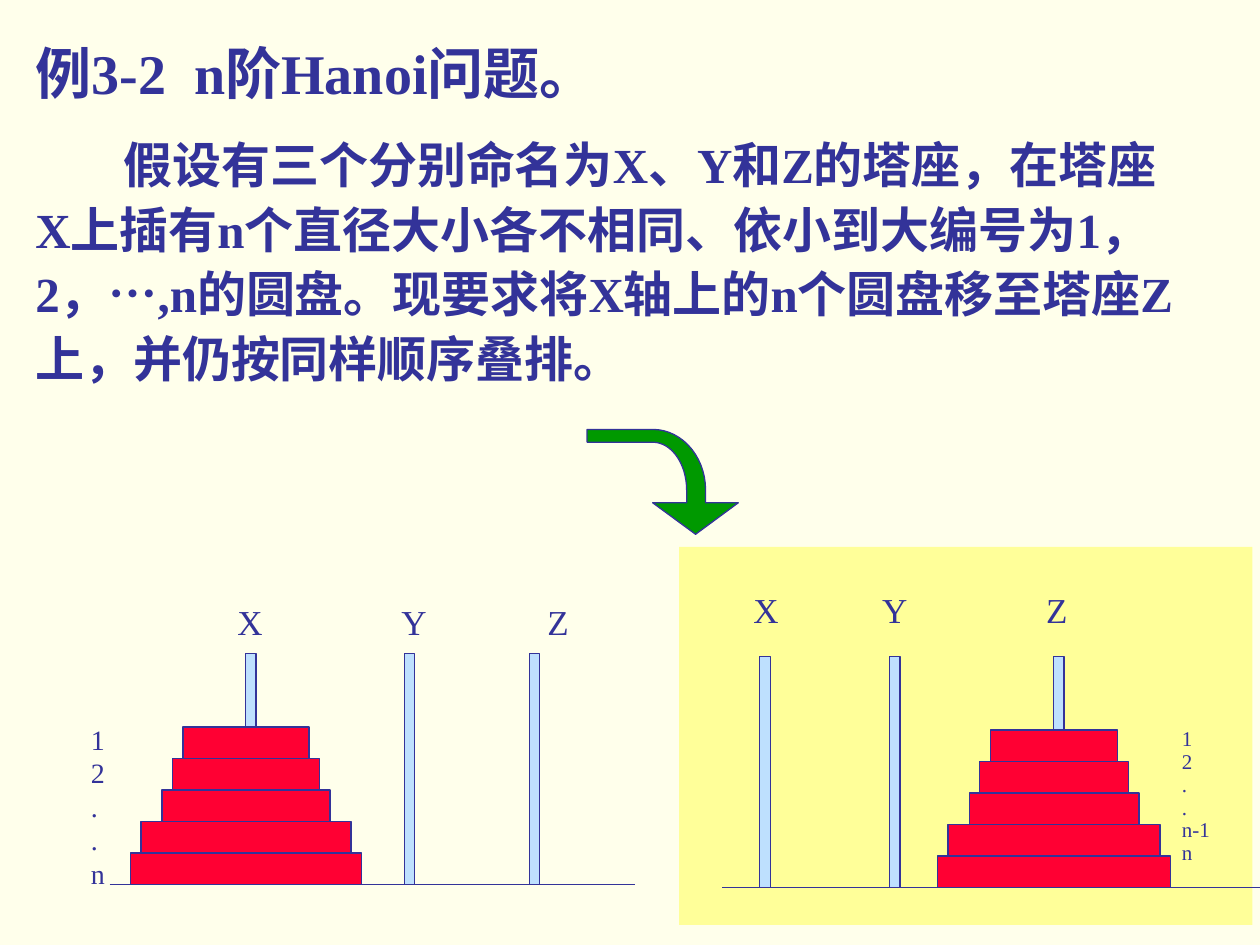
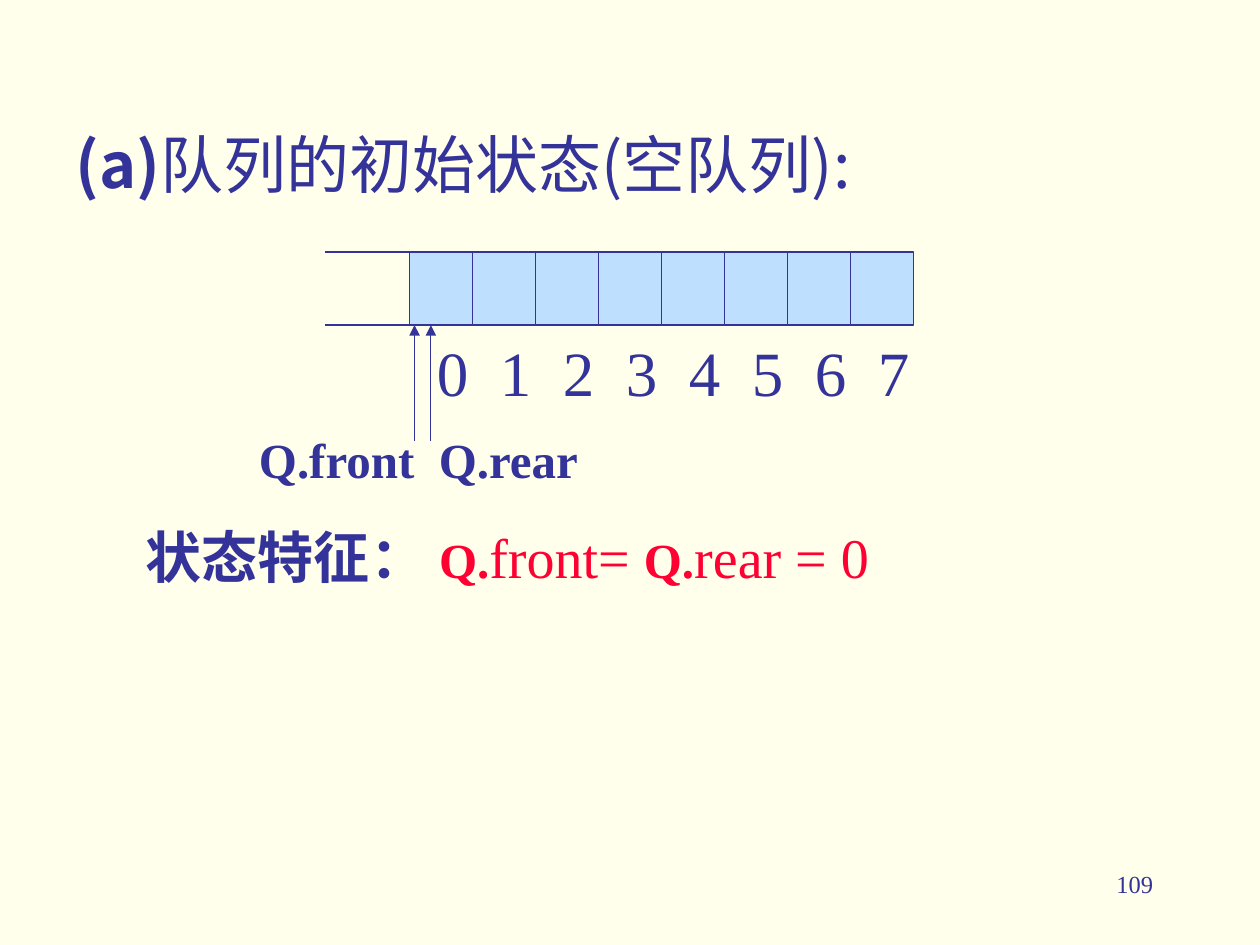
"""Build two lecture slides: the Hanoi problem and an empty queue."""
import dataclasses
import math

import lxml.etree
import pptx
import pptx.dml.color
import pptx.enum.shapes
import pptx.enum.text
import pptx.oxml.ns
import pptx.util

Pt = pptx.util.Pt
qn = pptx.oxml.ns.qn
Align = pptx.enum.text.PP_ALIGN
Shape = pptx.enum.shapes.MSO_SHAPE


@dataclasses.dataclass(frozen=True)
class Theme:
    paper: str = "FFFFEB"
    ink: str = "333399"
    red: str = "FF0033"
    green: str = "009900"
    sky: str = "BEE0FE"
    yellow: str = "FFFF99"
    serif: str = "Times New Roman"
    sans: str = "Noto Sans CJK SC"
    huge: int = 36
    title: int = 32
    body: int = 28
    peg: int = 20
    disk: int = 16
    number: int = 14
    small: int = 12
    line: float = 0.75


theme = Theme()


def style_span(span, size, bold=False, color=theme.ink, font=theme.serif):
    span.font.size = Pt(size)
    span.font.bold = bold
    span.font.name = font
    span.font.color.rgb = pptx.dml.color.RGBColor.from_string(color)
    east_asian = lxml.etree.SubElement(span._r.get_or_add_rPr(), qn("a:ea"))
    east_asian.set("typeface", theme.sans)


def paint_shape(shape, fill, outlined=True):
    shape.shadow.inherit = False
    shape.fill.solid()
    shape.fill.fore_color.rgb = pptx.dml.color.RGBColor.from_string(fill)
    if outlined:
        shape.line.color.rgb = pptx.dml.color.RGBColor.from_string(theme.ink)
        shape.line.width = Pt(theme.line)
    else:
        shape.line.fill.background()


deck = pptx.Presentation()
deck.slide_width = Pt(720)
deck.slide_height = Pt(540)
background = deck.slide_master.background.fill
background.solid()
background.fore_color.rgb = pptx.dml.color.RGBColor.from_string(theme.paper)
hanoi = deck.slides.add_slide(deck.slide_layouts[1])
queue = deck.slides.add_slide(deck.slide_layouts[1])

problem = (
    "假设有三个分别命名为X、Y和Z的塔座，在塔座X上插有n个直径大小各不相同、"
    "依小到大编号为1，2，…,n的圆盘。现要求将X轴上的n个圆盘移至塔座Z上，"
    "并仍按同样顺序叠排。"
)
# placeholder, (left, top, width, height), line pitch, first-line indent, spans
texts = [
    (hanoi.shapes.title, (13, 17, 666, 48), 40, 0,
     [("例3-2  n阶Hanoi问题。", theme.title, True)]),
    (hanoi.placeholders[1], (13, 70, 666, 156), 36.9, 50.4,
     [(problem, theme.body, True)]),
    (queue.shapes.title, (36, 63.4, 612, 56), 48, 0,
     [("(a)", theme.huge, True, theme.ink, theme.sans),
      ("队列的初始状态(空队列):", theme.huge, False, theme.ink, theme.sans)]),
    (queue.placeholders[1], (76.2, 289.6, 540, 52), 44, 0,
     [("状态特征： ", theme.title, True),
      ("Q.", theme.body, True, theme.red),
      ("front= ", theme.title, False, theme.red),
      ("Q.", theme.body, True, theme.red),
      ("rear = 0", theme.title, False, theme.red)]),
]
for holder, place, pitch, indent, spans in texts:
    holder.left, holder.top, holder.width, holder.height = map(Pt, place)
    frame = holder.text_frame
    frame.auto_size = pptx.enum.text.MSO_AUTO_SIZE.NONE
    frame.vertical_anchor = pptx.enum.text.MSO_ANCHOR.TOP
    frame.word_wrap = True
    para = frame.paragraphs[0]
    para.alignment = Align.LEFT
    para.line_spacing = Pt(pitch)
    para.space_before = Pt(0)
    properties = para._p.get_or_add_pPr()
    properties.set("marL", "0")
    properties.set("indent", str(Pt(indent)))
    lxml.etree.SubElement(properties, qn("a:buNone"))
    for text, *look in spans:
        span = para.add_run()
        span.text = text
        style_span(span, *look)

arc = [math.radians(step * 6) for step in range(16)]
bend_x, bend_y = 373, 280
outline = [(397.5, 305.3), (421.9, 287.3), (403.2, 287.3)]
outline += [(bend_x + 30.2 * math.cos(a), bend_y - 34.6 * math.sin(a)) for a in arc]
outline += [(335.5, 245.4), (335.5, 252.7)]
outline += [(bend_x + 19.4 * math.cos(a), bend_y - 27.3 * math.sin(a)) for a in reversed(arc)]
outline += [(392.4, 287.3), (373, 287.3)]
corners = [(Pt(x), Pt(y)) for x, y in outline]
builder = hanoi.shapes.build_freeform(*corners[0])
builder.add_line_segments(corners[1:], close=True)
paint_shape(builder.convert_to_shape(), theme.green)

panel = hanoi.shapes.add_shape(Shape.RECTANGLE, Pt(388), Pt(312.5), Pt(327.6), Pt(216))
paint_shape(panel, theme.yellow, outlined=False)

labels = []
lines = []
peg_width, peg_height, disk_height = 6, 132, 18
disk_widths = [72, 84, 96, 120, 132]
# peg centres, label centres, label top, stack centre, base, base line ends, disk scale
scenes = [
    ((143.4, 234, 305.4), (142.9, 236.6, 318.9), 343.3, 140.6, 505.4, (62.6, 362.9), 1),
    ((437.2, 511.3, 605), (437.7, 511.4, 604), 336.5, 602.3, 507.2, (412.8, 720), 1.01),
]
for pegs, names, name_top, stack, base, ends, scale in scenes:
    bars = [(x, base - peg_height, peg_width, peg_height, theme.sky) for x in pegs]
    for level, width in enumerate(disk_widths):
        top = base - (len(disk_widths) - level) * disk_height
        bars.append((stack, top, width * scale, disk_height, theme.red))
    for center, top, width, height, fill in bars:
        bar = hanoi.shapes.add_shape(
            Shape.RECTANGLE, Pt(center - width / 2), Pt(top), Pt(width), Pt(height))
        paint_shape(bar, fill)
    lines.append((hanoi, ends[0], base, ends[1], base, False))
    for name, center in zip("XYZ", names):
        labels.append((hanoi, [name], center - 18, name_top, 36, 24,
                       theme.peg, False, Align.CENTER, None))
labels += [
    (hanoi, ["1", "2", ".", ".", "n"], 52, 412.9, 20, 96,
     theme.disk, False, Align.LEFT, 19.1),
    (hanoi, ["1", "2", ".", ".", "n-1", "n"], 675.4, 415.8, 30, 80,
     theme.small, False, Align.LEFT, 13.1),
]

cell_left, cell_top, cell_width, cell_height = 234, 144, 36, 41.8
cell_bottom = cell_top + cell_height
for index in range(8):
    left = cell_left + index * cell_width
    cell = queue.shapes.add_shape(
        Shape.RECTANGLE, Pt(left), Pt(cell_top), Pt(cell_width), Pt(cell_height))
    paint_shape(cell, theme.sky)
    labels.append((queue, [str(index)], left + 6.6, 190.8, cell_width, 42,
                   theme.huge, False, Align.CENTER, None))
for edge in (cell_top, cell_bottom):
    lines.append((queue, cell_left, edge, 185.8, edge, False))
for pointer, left, arrow_x in (("Q.front", 148, 236.9), ("Q.rear", 250.8, 246.2)):
    labels.append((queue, [pointer], left, 245.4, 96, 33,
                   theme.body, True, Align.LEFT, None))
    lines.append((queue, arrow_x, 252, arrow_x, cell_bottom, True))
labels.append((queue, ["109"], 509, 496.6, 150, 18,
               theme.number, False, Align.RIGHT, None))

for page, rows, left, top, width, height, size, bold, align, pitch in labels:
    box = page.shapes.add_textbox(Pt(left), Pt(top), Pt(width), Pt(height))
    frame = box.text_frame
    frame.word_wrap = True
    frame.margin_left = frame.margin_right = frame.margin_top = frame.margin_bottom = Pt(0)
    frame.text = "\n".join(rows)
    for para in frame.paragraphs:
        para.alignment = align
        if pitch:
            para.line_spacing = Pt(pitch)
        style_span(para.runs[0], size, bold)

for page, x1, y1, x2, y2, arrow in lines:
    line = page.shapes.add_connector(
        pptx.enum.shapes.MSO_CONNECTOR.STRAIGHT, Pt(x1), Pt(y1), Pt(x2), Pt(y2))
    line.line.color.rgb = pptx.dml.color.RGBColor.from_string(theme.ink)
    line.line.width = Pt(theme.line)
    if arrow:
        head = lxml.etree.SubElement(line.line._get_or_add_ln(), qn("a:tailEnd"))
        head.set("type", "triangle")
    lxml.etree.SubElement(line._element.spPr, qn("a:effectLst"))

deck.save("out.pptx")
